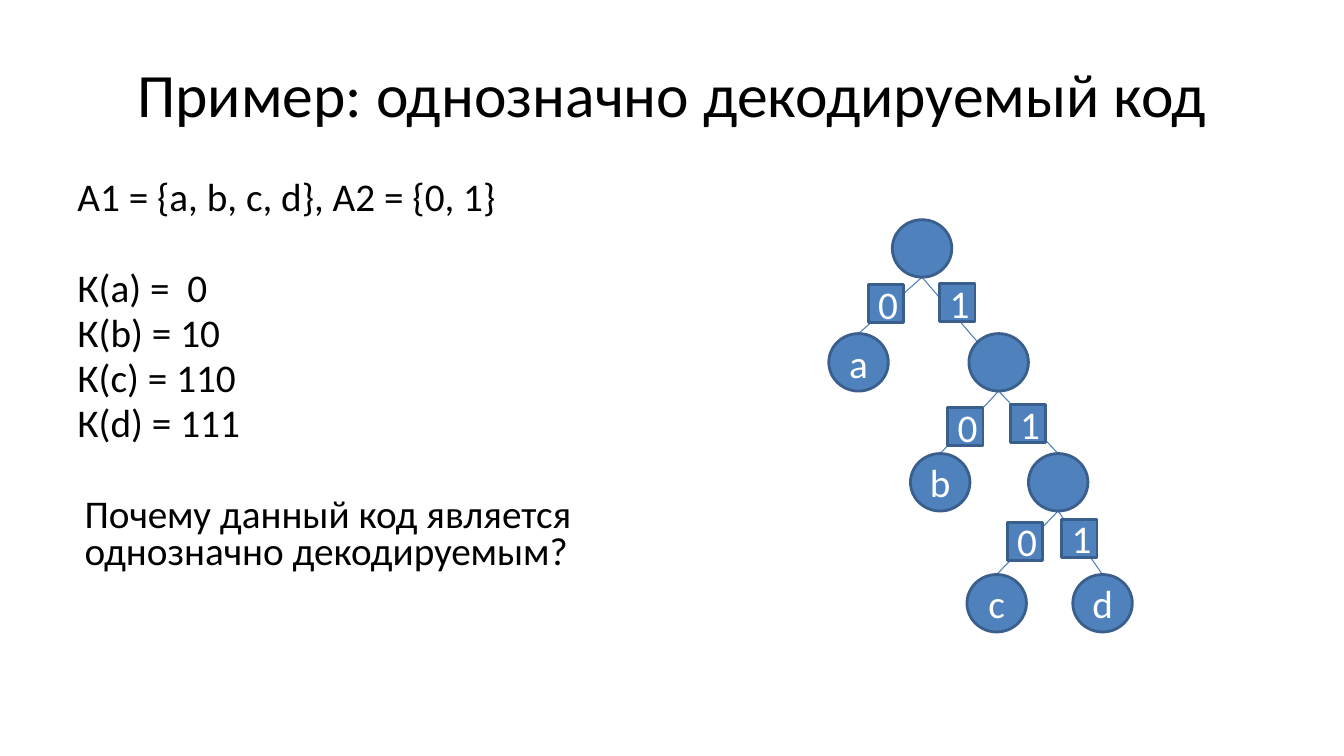
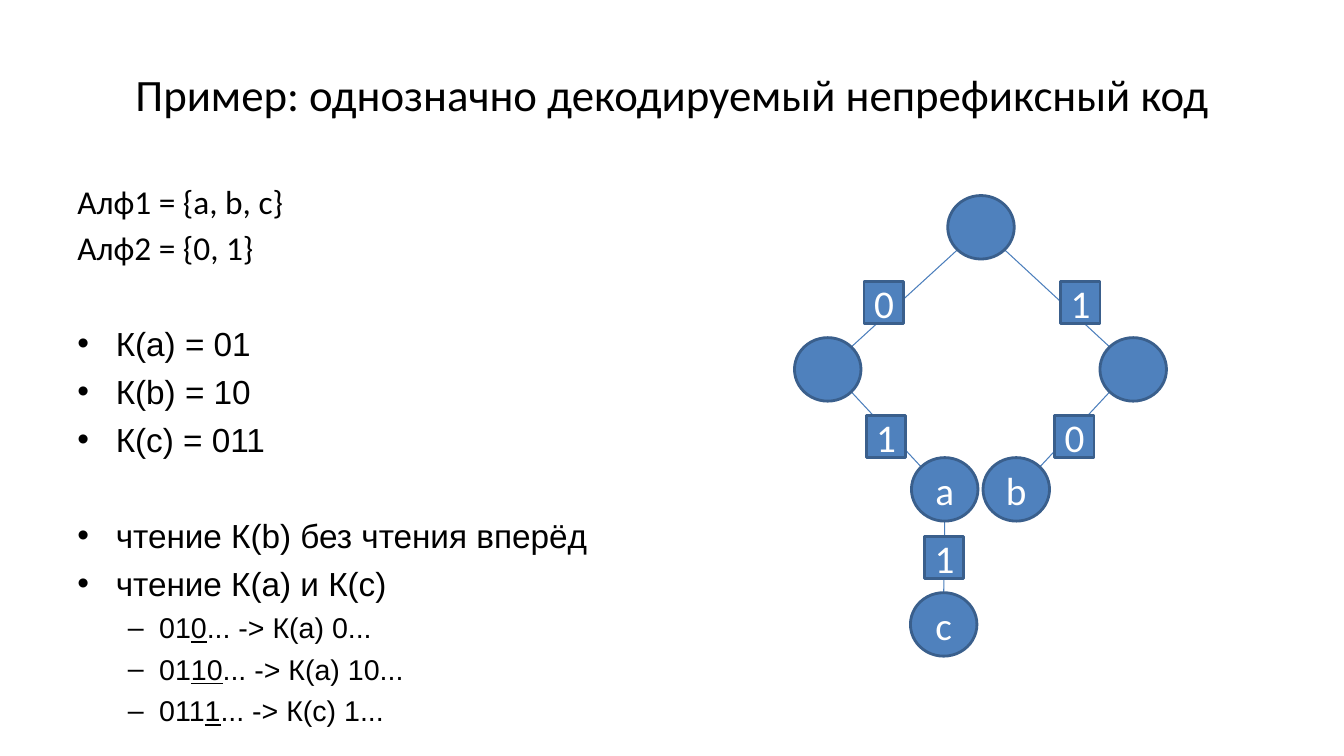
from lxml import etree
from pptx import Presentation
from pptx import util as u
from pptx.dml.color import RGBColor
from pptx.enum import shapes, text
from pptx.oxml import ns

BLACK, WHITE = "000000", "FFFFFF"
NODE_FILL, NODE_LINE, EDGE = "4F81BD", "3A5F8C", "4B7EBC"

# Points on a node's outline, as shares of its half width and half height
TOP, BOTTOM = (0, -1), (0, 1)
UPPER_LEFT, LOWER_LEFT, LOWER_RIGHT = (-0.71, -0.71), (-0.71, 0.71), (0.71, 0.71)


def color(hex_string):
    return RGBColor.from_string(hex_string)


class Deck:
    """Shared style and the slide being built."""

    def __init__(self):
        self.prs = Presentation()
        self.prs.slide_width, self.prs.slide_height = u.Inches(13.33), u.Inches(7.5)
        self.slide = None

    def new_slide(self, title, size):
        self.slide = self.prs.slides.add_slide(self.prs.slide_layouts[6])
        frame = self.text_frame(0.67, 0.3, 12, 1.25)
        frame.vertical_anchor = text.MSO_ANCHOR.MIDDLE
        frame.paragraphs[0].alignment = text.PP_ALIGN.CENTER
        self.run(frame.paragraphs[0], title, size)

    def text_frame(self, *box):
        frame = self.slide.shapes.add_textbox(*map(u.Inches, box)).text_frame
        frame.word_wrap = True
        return frame

    def run(self, paragraph, words, size, font="Calibri", ink=BLACK, underline=None):
        run = paragraph.add_run()
        run.text = words
        run.font.size, run.font.name = u.Pt(size), font
        run.font.color.rgb = color(ink)
        run.font.underline = underline

    def body(self, lines):
        """Each line is its runs, (text, underlined), and a dict of its style."""
        frame = self.text_frame(0.67, 1.75, 5.89, 4.95)
        for number, (runs, style) in enumerate(lines):
            line = frame.add_paragraph() if number else frame.paragraphs[0]
            line.space_before = u.Pt(style["before"])
            line.line_spacing = style.get("spacing", 1.0)
            self.indent(line, style.get("margin", 0), style.get("hang", 0), style.get("bullet"))
            for words, underlined in runs:
                self.run(line, words, style["size"], style.get("font", "Calibri"),
                         underline=underlined or None)

    def indent(self, paragraph, margin, hang, bullet):
        props = paragraph._p.get_or_add_pPr()
        props.set("marL", str(u.Inches(margin)))
        props.set("indent", str(-u.Inches(hang)))
        if bullet:
            etree.SubElement(props, ns.qn("a:buFont")).set("typeface", "Arial")
            etree.SubElement(props, ns.qn("a:buChar")).set("char", bullet)

    def block(self, kind, words, *box):
        block = self.slide.shapes.add_shape(kind, *map(u.Inches, box))
        block.shadow.inherit = False
        block.fill.solid()
        block.fill.fore_color.rgb = color(NODE_FILL)
        block.line.color.rgb = color(NODE_LINE)
        block.line.width = u.Pt(2)
        if words:
            block.text_frame.vertical_anchor = text.MSO_ANCHOR.MIDDLE
            paragraph = block.text_frame.paragraphs[0]
            paragraph.alignment = text.PP_ALIGN.CENTER
            self.run(paragraph, words, 28, ink=WHITE)

    def edge(self, *ends):
        edge = self.slide.shapes.add_connector(shapes.MSO_CONNECTOR.STRAIGHT, *map(u.Inches, ends))
        edge.line.color.rgb = color(EDGE)
        edge.line.width = u.Pt(0.75)
        etree.SubElement(edge._element.spPr, ns.qn("a:effectLst"))

    def tree(self, nodes, edges, node_size, bit_size):
        """Nodes: name -> (left, top). Edges: (parent, child, bit, bit corner, start, end)."""
        def outline_point(name, side):
            return [corner + size / 2 * (1 + share)
                    for corner, size, share in zip(nodes[name], node_size, side)]

        for parent, child, _, _, start, end in edges:
            end = end or (-start[0], -start[1])
            self.edge(*outline_point(parent, start), *outline_point(child, end))
        for name, corner in nodes.items():
            letter = name if len(name) == 1 else ""
            self.block(shapes.MSO_SHAPE.OVAL, letter, *corner, *node_size)
        for _, _, bit, corner, _, _ in edges:
            self.block(shapes.MSO_SHAPE.RECTANGLE, bit, *corner, *bit_size)


def plain(words, style, **changes):
    return [(words, False)], {**style, **changes}


def prefix_code(deck):
    deck.new_slide("Пример: однозначно декодируемый код", 44)
    code = dict(size=28, before=5.3, spacing=0.8, margin=0.38, hang=0.38)
    after_gap = 37.9
    deck.body([
        plain("А1 = {a, b, c, d}, А2 = {0, 1}", code),
        plain("К(а) =  0", code, before=after_gap),
        plain("К(b) = 10", code),
        plain("К(с) = 110", code),
        plain("К(d) = 111", code),
        plain("Почему данный код является однозначно декодируемым?", code,
              before=after_gap, margin=0.07, hang=0),
    ])
    nodes = {
        "root": (8.85, 2.18),
        "a": (8.22, 3.31), "after 1": (9.61, 3.31),
        "b": (9.03, 4.5), "after 11": (10.2, 4.5),
        "c": (9.59, 5.7), "d": (10.64, 5.7),
    }
    edges = [
        ("root", "a", "0", (8.61, 2.82), BOTTOM, TOP),
        ("root", "after 1", "1", (9.32, 2.81), BOTTOM, UPPER_LEFT),
        ("after 1", "b", "0", (9.4, 4.04), BOTTOM, TOP),
        ("after 1", "after 11", "1", (10.02, 4.01), BOTTOM, TOP),
        ("after 11", "c", "0", (9.99, 5.18), BOTTOM, TOP),
        ("after 11", "d", "1", (10.53, 5.15), BOTTOM, TOP),
    ]
    deck.tree(nodes, edges, (0.59, 0.57), (0.35, 0.38))


def non_prefix_code(deck):
    deck.new_slide("Пример: однозначно декодируемый непрефиксный код", 32)
    alphabet = dict(size=23.8, before=4.4)
    item = dict(size=23.8, before=6, font="Arial", margin=0.38, hang=0.38, bullet="•")
    reading = dict(size=20.4, before=5.1, font="Arial", margin=0.81, hang=0.31, bullet="–")
    after_gap = 39.4
    readings = [("01", "0", "... -> К(a) 0..."),
                ("01", "10", "... -> К(a) 10..."),
                ("011", "1", "... -> К(c) 1...")]
    deck.body([
        plain("Алф1 = {a, b, c}", alphabet),
        plain("Алф2 = {0, 1}", alphabet),
        plain("К(a) = 01", item, before=after_gap),
        plain("К(b) = 10", item),
        plain("К(c) = 011", item),
        plain("чтение К(b) без чтения вперёд", item, before=after_gap),
        plain("чтение К(a) и К(c)", item),
        *[([(word, False), (ahead, True), (result, False)], reading)
          for word, ahead, result in readings],
    ])
    nodes = {
        "root": (9.4, 1.94),
        "after 0": (7.88, 3.35), "after 1": (10.91, 3.35),
        "a": (9.04, 4.54), "b": (9.75, 4.54),
        "c": (9.03, 5.88),
    }
    edges = [
        ("root", "after 0", "0", (8.57, 2.79), LOWER_LEFT, None),
        ("root", "after 1", "1", (10.52, 2.79), LOWER_RIGHT, None),
        ("after 0", "a", "1", (8.59, 4.12), LOWER_RIGHT, None),
        ("after 1", "b", "0", (10.46, 4.12), LOWER_LEFT, None),
        ("a", "c", "1", (9.17, 5.32), BOTTOM, None),
    ]
    deck.tree(nodes, edges, (0.66, 0.63), (0.39, 0.42))


def main():
    deck = Deck()
    prefix_code(deck)
    non_prefix_code(deck)
    deck.prs.save("out.pptx")


if __name__ == "__main__":
    main()
